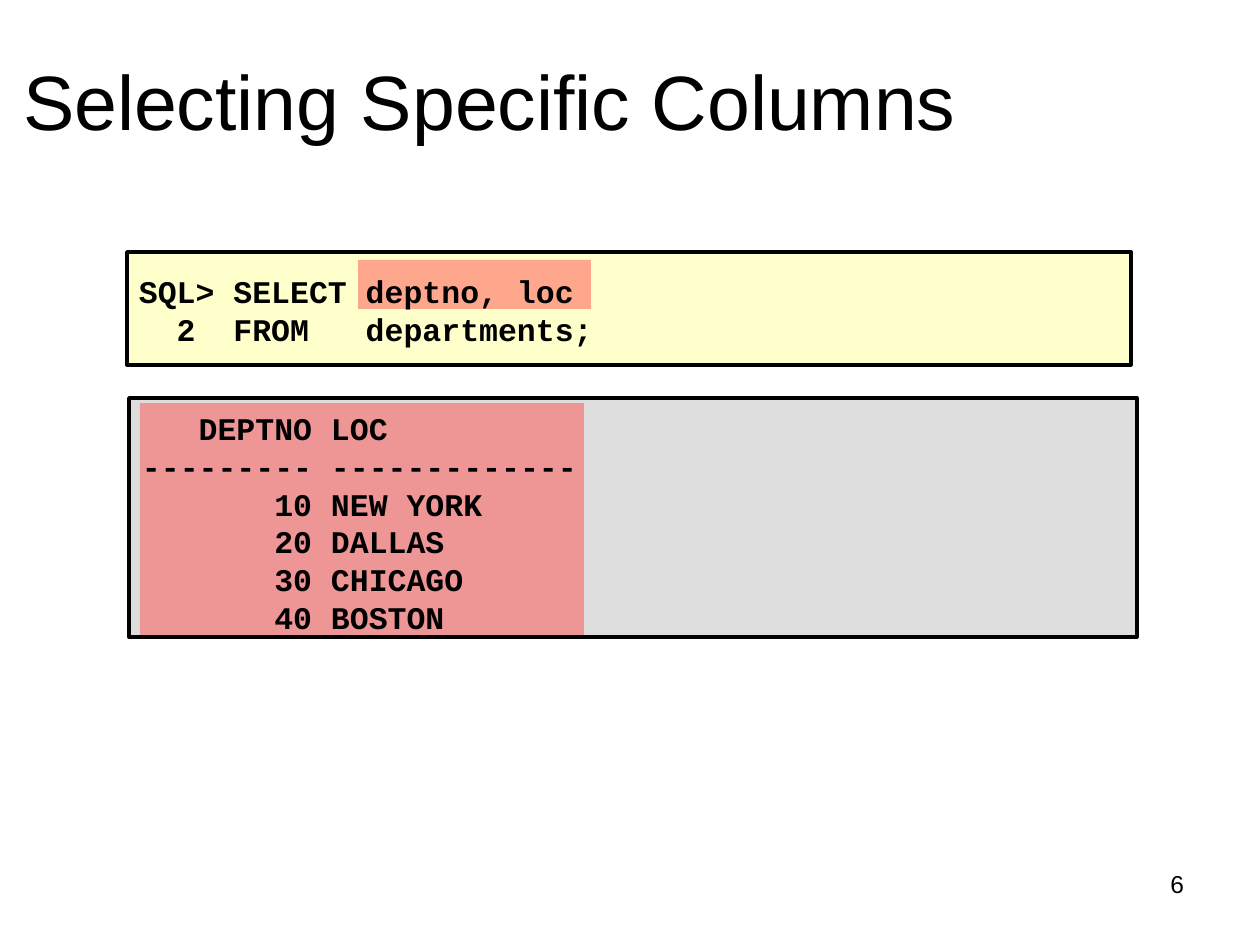
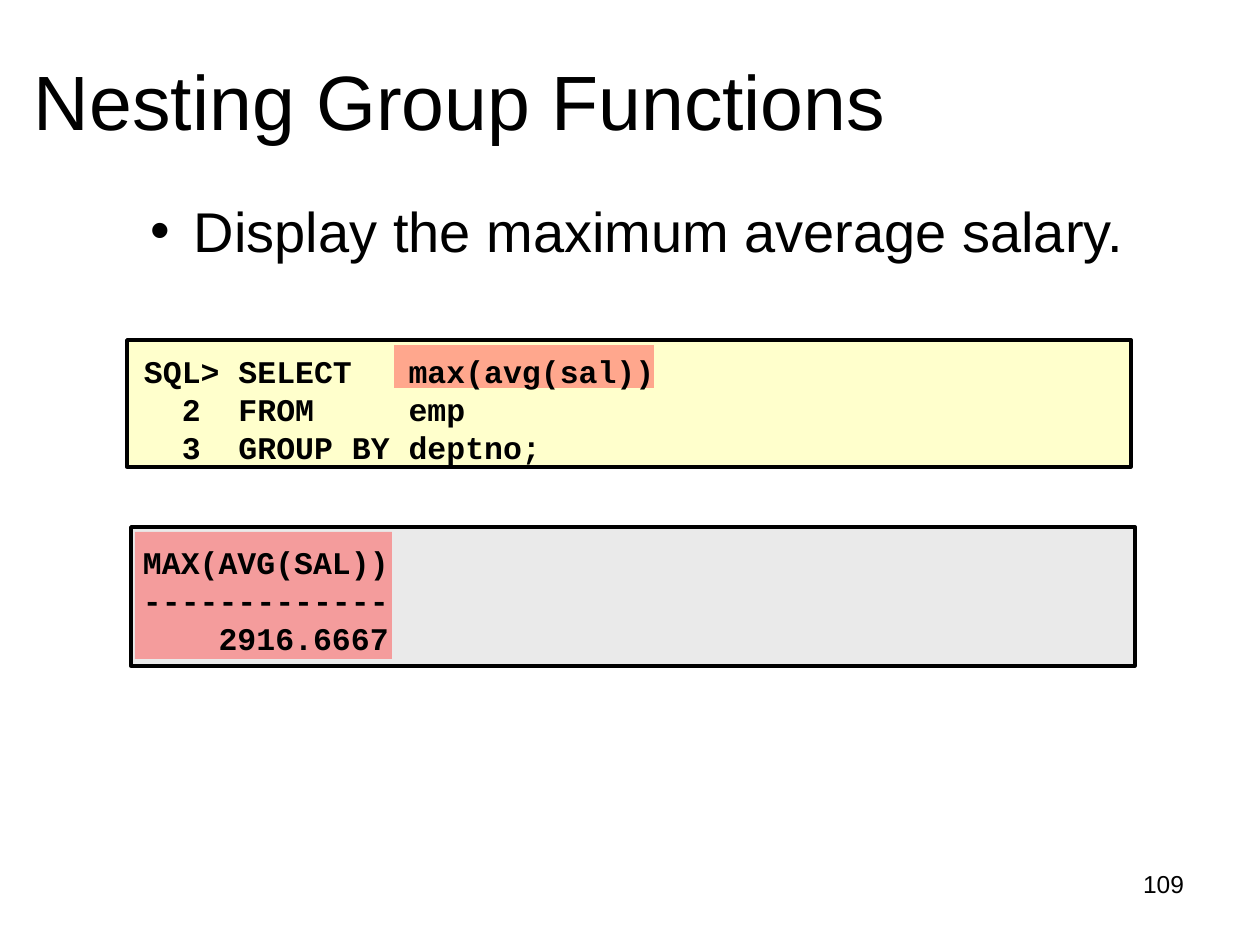
from pptx import Presentation
from pptx.dml.color import RGBColor
from pptx.enum.shapes import MSO_SHAPE
from pptx.enum.text import MSO_ANCHOR, MSO_AUTO_SIZE, PP_ALIGN
from pptx.oxml.ns import qn
from pptx.util import Emu, Pt
from lxml.etree import SubElement

SCALE = 914400 / 126
WIDE, HIGH = 1260, 945
INK, MARK = "000000", "FF5050"
CREAM, GREY, PALE = "FFFFCC", "DDDDDD", "EAEAEA"
TITLE = {"name": "Arial", "size": Pt(44), "bold": False}
BODY = {"name": "Arial", "size": Pt(32), "bold": False}
FOOT = {"name": "Arial", "size": Pt(14), "bold": False}
CODE = {"name": "Courier New", "size": Pt(18), "bold": True}


def px(num):
    return Emu(round(num * SCALE))


def tint(code):
    return RGBColor.from_string(code)


class Deck:
    """Holds the shared style and the current slide."""

    def __init__(self):
        self.show = Presentation()
        self.show.slide_width, self.show.slide_height = px(WIDE), px(HIGH)
        self.slide = None

    def page(self, title, left, num):
        """Starts a slide with its title and page number."""
        self.slide = self.show.slides.add_slide(self.show.slide_layouts[5])
        head = self.slide.shapes.title
        head.left, head.top, head.width, head.height = map(
            px, (left, 42, 1071, 158))
        self.fill(head.text_frame, [title], TITLE, 5)
        self.text((903, 861, 294, 66), [num], FOOT, 2, align=PP_ALIGN.RIGHT)

    def fill(self, frame, lines, style, drop, anchor=MSO_ANCHOR.TOP,
             align=PP_ALIGN.LEFT):
        """Writes lines into a frame, lowered by drop px."""
        form = {"word_wrap": True, "auto_size": MSO_AUTO_SIZE.NONE,
                "vertical_anchor": anchor,
                "margin_left": px(13), "margin_right": px(13),
                "margin_top": px(6 + drop), "margin_bottom": px(6 - drop)}
        for key, val in form.items():
            setattr(frame, key, val)
        for i, line in enumerate(lines):
            para = frame.add_paragraph() if i else frame.paragraphs[0]
            para.alignment = align
            para.line_spacing = Pt(style["size"].pt * 1.2)
            run = para.add_run()
            run.text = line
            for key, val in style.items():
                setattr(run.font, key, val)
            run.font.color.rgb = tint(INK)

    def text(self, spot, lines, style, drop, **form):
        box = self.slide.shapes.add_textbox(*map(px, spot))
        self.fill(box.text_frame, lines, style, drop, **form)
        return box

    def code(self, spot, lines, anchor=MSO_ANCHOR.MIDDLE):
        self.text(spot, lines, CODE, 4, anchor=anchor)

    def point(self, spot, line):
        """Adds a bulleted line."""
        box = self.text(spot, [line], BODY, 4)
        prop = box.text_frame.paragraphs[0]._p.get_or_add_pPr()
        prop.set("marL", str(px(55)))
        prop.set("indent", str(-px(43)))
        SubElement(prop, qn("a:buFont"), typeface="Arial")
        SubElement(prop, qn("a:buChar"), char="•")

    def rect(self, spot, color):
        box = self.slide.shapes.add_shape(MSO_SHAPE.RECTANGLE, *map(px, spot))
        box.shadow.inherit = False
        box.fill.solid()
        box.fill.fore_color.rgb = tint(color)
        return box

    def panel(self, spot, color):
        line = self.rect(spot, color).line
        line.color.rgb = tint(INK)
        line.width = Pt(2)

    def mark(self, spot):
        """Adds a half-clear highlight."""
        box = self.rect(spot, MARK)
        box.line.fill.background()
        shade = box._element.spPr.find(qn("a:solidFill"))[0]
        SubElement(shade, qn("a:alpha"), val="50000")


def columns(deck):
    deck.page("Selecting Specific Columns", 10, "6")
    deck.panel((129, 398, 1008, 239), GREY)
    deck.panel((127, 252, 1004, 113), CREAM)
    deck.mark((358, 260, 233, 49))
    deck.mark((140, 403, 444, 232))
    deck.code((129, 399, 1004, 239), [
        "   DEPTNO LOC",
        "--------- -------------",
        "       10 NEW YORK",
        "       20 DALLAS",
        "       30 CHICAGO",
        "       40 BOSTON"], MSO_ANCHOR.TOP)
    deck.code((126, 247, 1008, 117), [
        "SQL> SELECT deptno, loc",
        "  2  FROM   departments;"])


def nesting(deck):
    deck.page("Nesting Group Functions", 21, "109")
    deck.panel((127, 340, 1004, 127), CREAM)
    deck.panel((131, 527, 1004, 139), PALE)
    deck.mark((394, 345, 260, 43))
    deck.mark((135, 532, 257, 127))
    deck.code((131, 321, 1008, 168), [
        "SQL> SELECT   max(avg(sal))",
        "  2  FROM     emp",
        "  3  GROUP BY deptno;"])
    deck.code((130, 512, 1008, 168), [
        "MAX(AVG(SAL))",
        "-------------",
        "    2916.6667"])
    deck.point((126, 186, 1061, 79), "Display the maximum average salary.")


def main():
    deck = Deck()
    columns(deck)
    nesting(deck)
    deck.show.save("out.pptx")


if __name__ == "__main__":
    main()
